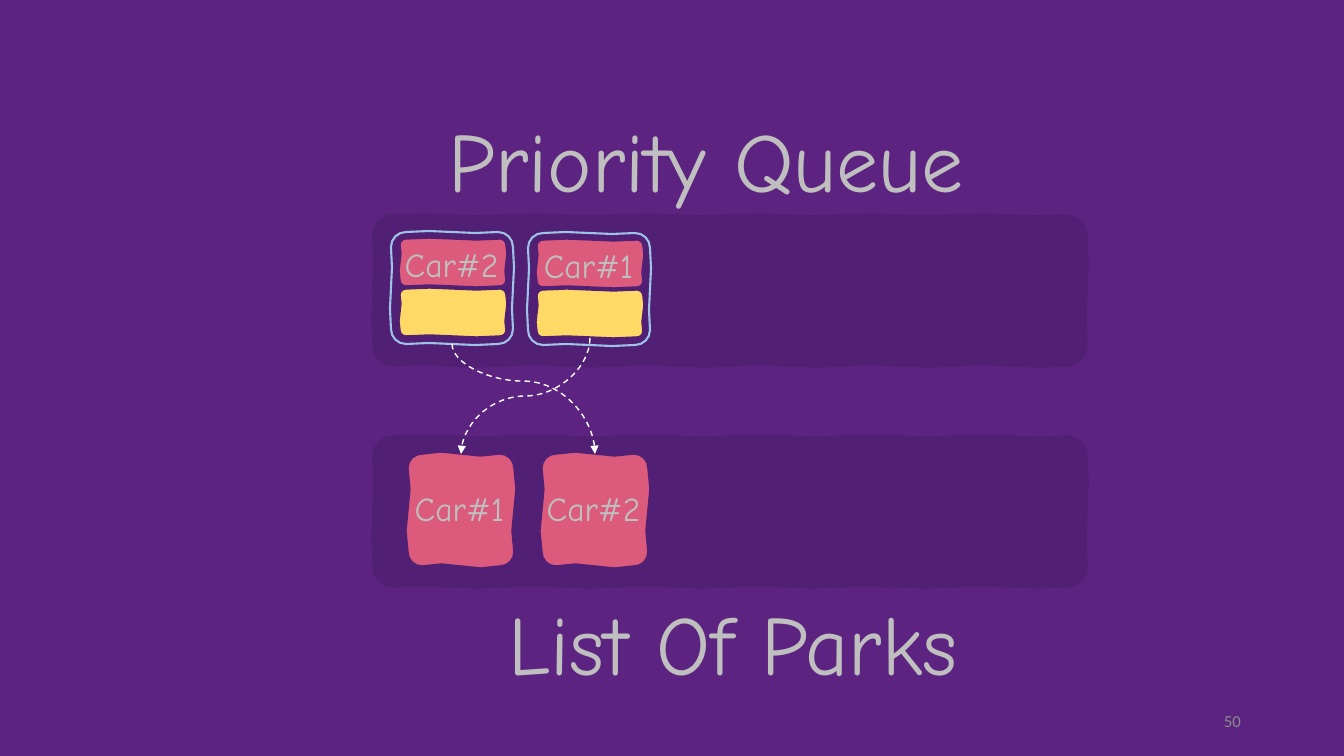
from dataclasses import dataclass
from math import cos, pi, sin

from lxml.etree import SubElement
from pptx import Presentation
from pptx.dml.color import RGBColor
from pptx.enum.dml import MSO_LINE
from pptx.enum.shapes import MSO_CONNECTOR
from pptx.enum.text import MSO_ANCHOR, MSO_AUTO_SIZE, PP_ALIGN
from pptx.oxml.ns import qn
from pptx.util import Emu, Pt

SCALE = 12192000 / 1344


@dataclass(frozen=True)
class Theme:
    back: str = "5C2381"
    panel: str = "511F73"
    rose: str = "DC5A7C"
    gold: str = "FFD966"
    sky: str = "9DC3E6"
    white: str = "FFFFFF"
    text: str = "BFBFBF"
    gray: str = "8C8C8C"
    hand: str = "Comic Neue"
    plain: str = "Calibri"
    head: int = 60
    label: int = 24
    small: int = 12


THEME = Theme()


def px(num):
    return Emu(round(num * SCALE))


def apply(item, values):
    for name, value in values.items():
        setattr(item, name, value)


def place(shape, box):
    apply(shape, dict(zip(("left", "top", "width", "height"), map(px, box))))


def write(shape, text, size, face=THEME.hand, color=THEME.text,
          align=PP_ALIGN.CENTER, anchor=MSO_ANCHOR.TOP):
    frame = shape.text_frame
    apply(frame, {"word_wrap": True, "auto_size": MSO_AUTO_SIZE.NONE,
                  "vertical_anchor": anchor})
    para = frame.paragraphs[0]
    para.alignment = align
    run = para.add_run()
    run.text = text
    apply(run.font, {"name": face, "size": Pt(size), "bold": False})
    run.font.color.rgb = RGBColor.from_string(color)


def add_text(slide, box, text, size, **style):
    shape = slide.shapes.add_textbox(*map(px, box))
    write(shape, text, size, **style)


def outline(box, curve, sway):
    x, y, w, h = box
    wide, tall = w - 2 * curve, h - 2 * curve
    sides = ((x + curve, y, 1, 0, wide), (x + w, y + curve, 0, 1, tall),
             (x + w - curve, y + h, -1, 0, wide), (x, y + h - curve, 0, -1, tall))
    points = []
    for left, top, dx, dy, span in sides:
        waves = max(1, span // 110)
        steps = 4 * waves
        for step in range(steps + 1):
            part = step / steps
            off = sway * sin(2 * pi * waves * part)
            points.append((left + dx * span * part + dy * off,
                           top + dy * span * part - dx * off))
        mid_x = left + dx * span - dy * curve
        mid_y = top + dy * span + dx * curve
        for step in range(1, 4):
            turn = pi / 2 * step / 4
            points.append((mid_x + curve * (dy * cos(turn) + dx * sin(turn)),
                           mid_y + curve * (dy * sin(turn) - dx * cos(turn))))
    return [(px(left), px(top)) for left, top in points]


def add_rough(slide, box, curve, fill, line=THEME.panel, thick=1, sway=1):
    first, *rest = outline(box, curve, sway)
    path = slide.shapes.build_freeform(*first, scale=1.0)
    path.add_line_segments(rest, close=True)
    shape = path.convert_to_shape()
    shape.shadow.inherit = False
    shape.fill.solid()
    shape.fill.fore_color.rgb = RGBColor.from_string(fill)
    shape.line.color.rgb = RGBColor.from_string(line)
    shape.line.width = Pt(thick)


def add_label(slide, left, top, text):
    add_text(slide, (left - 23, top, 149, 50), text, THEME.label)


def add_entry(slide, left, top, text):
    add_rough(slide, (left - 9, top - 7, 122, 112), 15, THEME.panel, THEME.sky, 1.5)
    add_rough(slide, (left, top, 106, 47), 6, THEME.rose)
    add_rough(slide, (left, top + 50, 106, 47), 6, THEME.gold)
    add_label(slide, left, top, text)


def add_park(slide, left, top, text):
    add_rough(slide, (left, top, 106, 112), 14, THEME.rose, sway=2)
    add_label(slide, left, top + 29, text)


def add_arrow(slide, start, end, bend):
    (x1, y1), (x2, y2) = start, end
    mid_x, mid_y = (x1 + x2) / 2, (y1 + y2) / 2
    right = x2 > x1
    half = (y2 - y1) / 2 * (-1 if right else 1)
    rise = abs(x2 - x1) / 2
    link = slide.shapes.add_connector(
        MSO_CONNECTOR.CURVE, px(mid_x - half), px(mid_y - rise),
        px(mid_x + half), px(mid_y + rise))
    link.line.color.rgb = RGBColor.from_string(THEME.white)
    apply(link.line, {"width": Pt(1), "dash_style": MSO_LINE.DASH})
    props = link._element.spPr
    props.find(qn("a:xfrm")).set("rot", str((270 if right else 90) * 60000))
    guides = props.find(qn("a:prstGeom")).find(qn("a:avLst"))
    SubElement(guides, qn("a:gd"), name="adj1", fmla=f"val {bend}")
    SubElement(props.find(qn("a:ln")), qn("a:tailEnd"), type="triangle")
    SubElement(props, qn("a:effectLst"))


def main():
    deck = Presentation()
    apply(deck, {"slide_width": px(1344), "slide_height": px(756)})
    slide = deck.slides.add_slide(deck.slide_layouts[5])
    slide.background.fill.solid()
    slide.background.fill.fore_color.rgb = RGBColor.from_string(THEME.back)

    title = slide.shapes.title
    place(title, (338, 103, 736, 112))
    write(title, "Priority Queue", THEME.head)
    for top in (215, 436):
        add_rough(slide, (373, top, 714, 151), 20, THEME.panel)
    add_text(slide, (365, 587, 736, 112), "List Of Parks", THEME.head)

    for rank, (entry, park) in enumerate((("Car#2", "Car#1"), ("Car#1", "Car#2"))):
        add_entry(slide, 400 + 137 * rank, 239 + rank, entry)
        add_park(slide, 408 + 134 * rank, 454, park)

    add_arrow(slide, (590, 338), (461, 454), 50000)
    add_arrow(slide, (452, 344), (595, 454), 33800)
    add_text(slide, (949, 701, 302, 40), "50", THEME.small, face=THEME.plain,
             color=THEME.gray, align=PP_ALIGN.RIGHT, anchor=MSO_ANCHOR.MIDDLE)
    deck.save("out.pptx")


if __name__ == "__main__":
    main()
